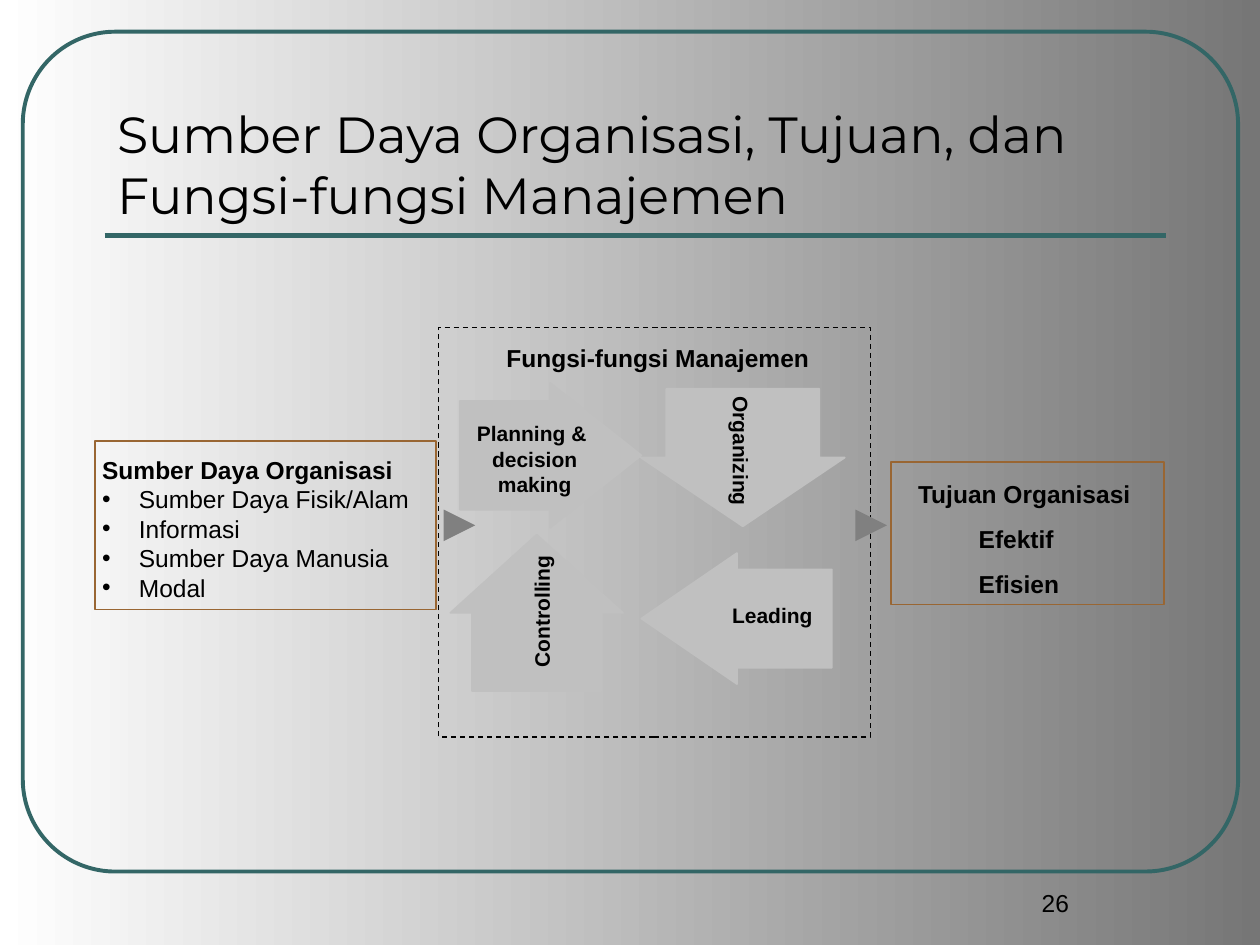
from dataclasses import dataclass

from lxml.etree import SubElement
from pptx import Presentation
from pptx.dml.color import RGBColor
from pptx.enum.dml import MSO_LINE
from pptx.enum.shapes import MSO_CONNECTOR, MSO_SHAPE
from pptx.enum.text import MSO_ANCHOR, MSO_AUTO_SIZE, PP_ALIGN
from pptx.oxml.ns import qn
from pptx.util import Cm, Pt


@dataclass(frozen=True)
class Theme:
    ink: RGBColor = RGBColor(0x00, 0x00, 0x00)
    paper: RGBColor = RGBColor(0xFF, 0xFF, 0xFF)
    shade: RGBColor = RGBColor(0x76, 0x76, 0x76)
    teal: RGBColor = RGBColor(0x33, 0x66, 0x66)
    brown: RGBColor = RGBColor(0x99, 0x66, 0x33)
    silver: RGBColor = RGBColor(0xC0, 0xC0, 0xC0)
    gray: RGBColor = RGBColor(0x80, 0x80, 0x80)
    heading_font: str = "Montserrat"
    body_font: str = "Arial"
    title_size: Pt = Pt(29)
    body_size: Pt = Pt(14)
    label_size: Pt = Pt(12)


theme = Theme()
deck = Presentation()
deck.slide_width, deck.slide_height = Cm(25.4), Cm(19.05)
page = deck.slides.add_slide(deck.slide_layouts[6])


def add_box(kind, place, line_color, line_width, fill_color=None):
    box = page.shapes.add_shape(kind, *map(Cm, place))
    box.shadow.inherit = False
    if fill_color is None:
        box.fill.background()
    else:
        box.fill.solid()
        box.fill.fore_color.rgb = fill_color
    box.line.color.rgb = line_color
    box.line.width = Pt(line_width)
    return box


def add_text(place, lines, inset=(0.25, 0.13), frame_format=None, para_format=None, **font_format):
    box = page.shapes.add_textbox(*map(Cm, place))
    frame = box.text_frame
    side, edge = map(Cm, inset)
    frame_values = {"word_wrap": True, "margin_left": side, "margin_right": side,
                    "margin_top": edge, "margin_bottom": edge, **(frame_format or {})}
    for name, value in frame_values.items():
        setattr(frame, name, value)
    font_values = {"name": theme.body_font, "size": theme.body_size, "bold": False, **font_format}
    frame.text = "\n".join(lines)
    for para in frame.paragraphs:
        for name, value in (para_format or {}).items():
            setattr(para, name, value)
        for span in para.runs:
            span.font.color.rgb = theme.ink
            for name, value in font_values.items():
                setattr(span.font, name, value)
    return box


# Background
background = page.background.fill
background.gradient()
background.gradient_angle = 0
for stop, color in zip(background.gradient_stops, (theme.paper, theme.shade)):
    stop.color.rgb = color

# Rounded page frame
page_frame = add_box(MSO_SHAPE.ROUNDED_RECTANGLE, (0.46, 0.64, 24.5, 16.93), theme.teal, 2.25)
page_frame.adjustments[0] = 0.11

# Title and page number
add_text((2.11, 1.47, 21.39, 3.18), ["Sumber Daya Organisasi, Tujuan, dan Fungsi-fungsi Manajemen"],
         frame_format={"vertical_anchor": MSO_ANCHOR.BOTTOM},
         name=theme.heading_font, size=theme.title_size)
add_text((19.05, 17.78, 4.45, 1.27), ["26"], para_format={"alignment": PP_ALIGN.CENTER})

# Outlined boxes
functions_box = add_box(MSO_SHAPE.RECTANGLE, (8.84, 6.6, 8.71, 8.26), theme.ink, 0.75)
functions_box.line.dash_style = MSO_LINE.DASH
for place in ((17.96, 9.32, 5.51, 2.87), (1.91, 8.89, 6.88, 3.4)):
    add_box(MSO_SHAPE.RECTANGLE, place, theme.brown, 1)

# Cycle of four block arrows
cycle_arrows = (
    (MSO_SHAPE.LEFT_ARROW, (12.93, 11.15, 3.84, 2.64), 0.73),
    (MSO_SHAPE.DOWN_ARROW, (12.92, 7.84, 4.11, 2.77), 0.5),
    (MSO_SHAPE.UP_ARROW, (9.08, 10.78, 3.48, 3.15), 0.5),
    (MSO_SHAPE.RIGHT_ARROW, (9.27, 7.72, 3.66, 2.92), 0.63),
)
for kind, place, head_length in cycle_arrows:
    arrow = add_box(kind, place, theme.silver, 1, theme.silver)
    arrow.adjustments[0] = 0.75
    arrow.adjustments[1] = head_length

# Labels on the cycle
tight = (0.15, 0.08)
label_font = {"size": theme.label_size, "bold": True}
add_text((9.09, 8.36, 3.38, 1.78), ["Planning & \vdecision making"], tight,
         {"vertical_anchor": MSO_ANCHOR.MIDDLE}, {"alignment": PP_ALIGN.CENTER}, **label_font)
cycle_labels = (
    ("Controlling", (9.63, 11.99, 2.57, 0.66), 270),
    ("Leading", (14.61, 12.07, 1.93, 0.66), 0),
    ("Organizing", (13.69, 8.76, 2.51, 0.66), 90),
)
for text, place, angle in cycle_labels:
    label = add_text(place, [text], tight,
                     {"word_wrap": False, "auto_size": MSO_AUTO_SIZE.SHAPE_TO_FIT_TEXT}, **label_font)
    label.rotation = angle

# Resources list
resources = add_text((1.91, 9.09, 6.88, 3.38),
                     ["Sumber Daya Organisasi", "Sumber Daya Fisik/Alam", "Informasi",
                      "Sumber Daya Manusia", "Modal"], tight)
resources_heading, *resource_items = resources.text_frame.paragraphs
resources_heading.runs[0].font.bold = True
for para in resource_items:
    properties = para._p.get_or_add_pPr()
    properties.set("marL", str(Cm(0.74)))
    properties.set("indent", str(-Cm(0.74)))
    SubElement(properties, qn("a:buFont"), typeface=theme.body_font)
    SubElement(properties, qn("a:buChar"), char="•")

# Functions heading and goals
functions_heading = add_text((8.69, 6.78, 8.26, 0.97), ["Fungsi-fungsi Manajemen"], bold=True)
goals = add_text((18.21, 9.53, 4.88, 2.67), ["Tujuan Organisasi", "Efektif", "Efisien"],
                 frame_format={"auto_size": MSO_AUTO_SIZE.SHAPE_TO_FIT_TEXT},
                 para_format={"space_before": Pt(8.8)}, bold=True)
goals_heading, *goal_items = goals.text_frame.paragraphs
goals_heading.alignment = PP_ALIGN.CENTER
for para in (*functions_heading.text_frame.paragraphs, *goal_items):
    para.level = 1
    properties = para._p.get_or_add_pPr()
    properties.set("marL", str(Cm(1.27)))
    properties.set("indent", "0")

# Title rule and flow arrows
connectors = (
    (2.11, 23.5, 4.75, theme.teal, 3, False),
    (9.25, 9.58, 10.59, theme.gray, 6, True),
    (17.5, 17.88, 10.59, theme.gray, 6, True),
)
for start, end, height, color, width, has_head in connectors:
    connector = page.shapes.add_connector(MSO_CONNECTOR.STRAIGHT, Cm(start), Cm(height), Cm(end), Cm(height))
    connector.line.color.rgb = color
    connector.line.width = Pt(width)
    if has_head:
        SubElement(connector.line._get_or_add_ln(), qn("a:tailEnd"), type="triangle")
    SubElement(connector._element.spPr, qn("a:effectLst"))

deck.save("out.pptx")
